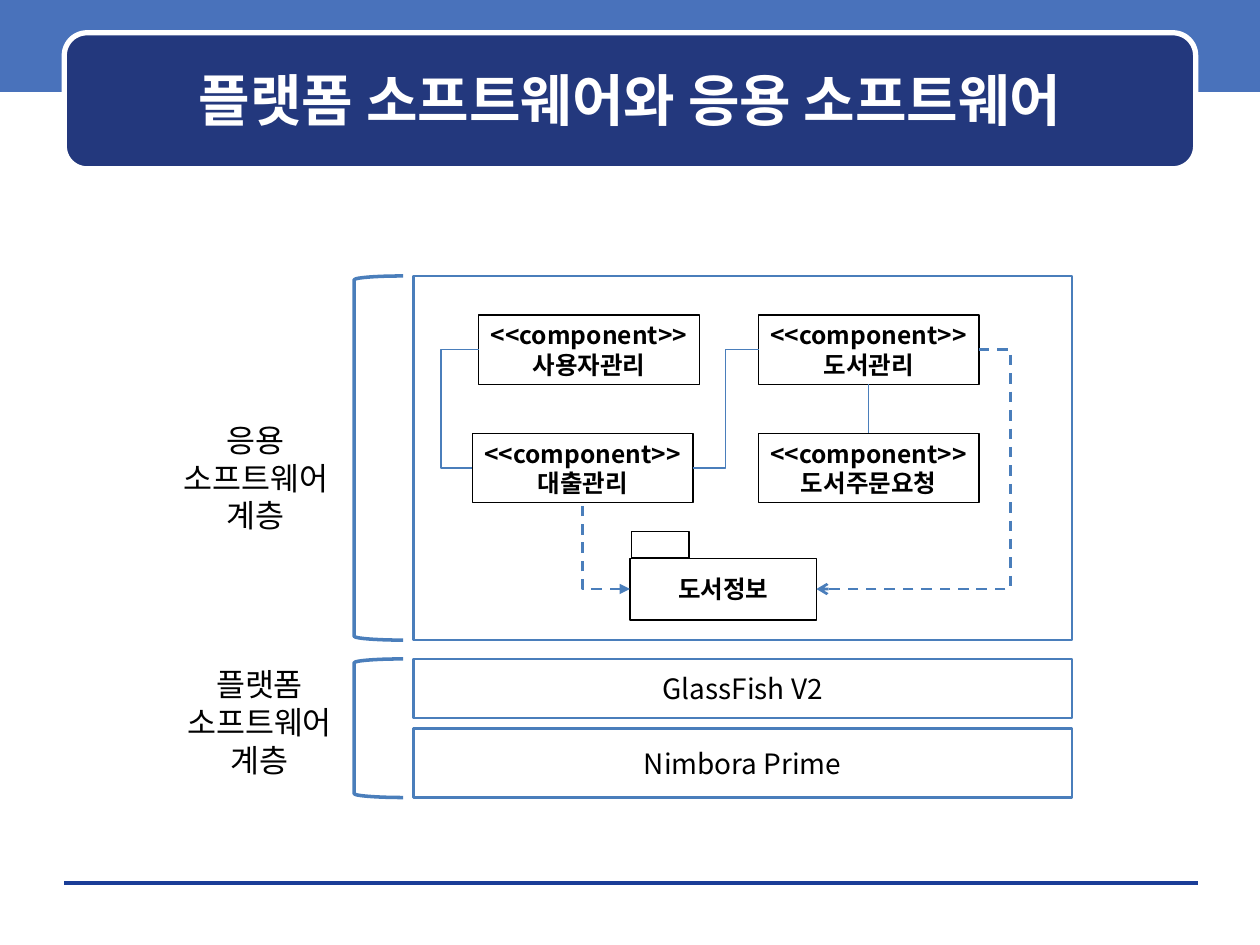
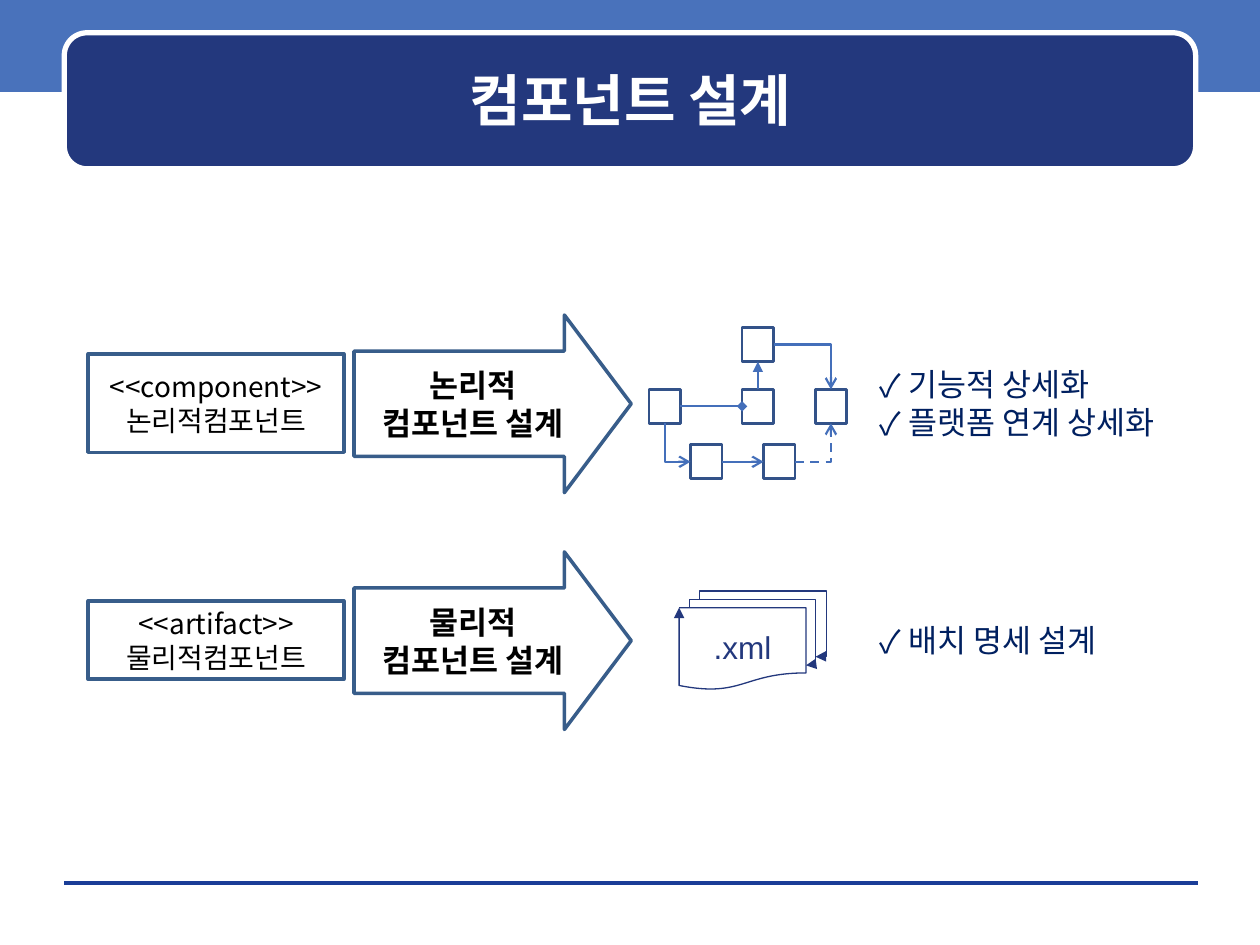
from dataclasses import dataclass

import pptx
import pptx.dml.color
import pptx.enum.dml
import pptx.enum.shapes
import pptx.enum.text
import pptx.oxml
import pptx.oxml.ns
import pptx.util
from pptx.util import Inches

RGBColor = pptx.dml.color.RGBColor
MSO_SHAPE = pptx.enum.shapes.MSO_SHAPE
MSO_CONNECTOR = pptx.enum.shapes.MSO_CONNECTOR
PP_ALIGN = pptx.enum.text.PP_ALIGN
MSO_ANCHOR = pptx.enum.text.MSO_ANCHOR

KOREAN_FONT = "Noto Sans CJK KR"
LATIN_FONT = "Arial"

WHITE = RGBColor(0xFF, 0xFF, 0xFF)
BLACK = RGBColor(0x00, 0x00, 0x00)
BAND_BLUE = RGBColor(0x49, 0x72, 0xBB)
TITLE_NAVY = RGBColor(0x23, 0x38, 0x7D)
FOOTER_BLUE = RGBColor(0x1A, 0x3D, 0x97)
LAYER_BLUE = RGBColor(0x4A, 0x7E, 0xBB)
STEP_BLUE = RGBColor(0x38, 0x5D, 0x8A)
NODE_BLUE = RGBColor(0x33, 0x52, 0x89)
LINK_BLUE = RGBColor(0x44, 0x6F, 0xBA)
BULLET_NAVY = RGBColor(0x00, 0x20, 0x60)

# Connection sites of a rectangle
TOP, LEFT, BOTTOM, RIGHT = range(4)


@dataclass(frozen=True)
class Area:
    left: float
    top: float
    width: float
    height: float

    def lengths(self) -> tuple:
        return tuple(Inches(v) for v in (self.left, self.top, self.width, self.height))


@dataclass(frozen=True)
class TextStyle:
    size: float
    color: RGBColor = BLACK
    bold: bool = False
    align: PP_ALIGN = PP_ALIGN.CENTER
    font: str = KOREAN_FONT
    bullet: str = ""
    inset: float = 0.1


@dataclass(frozen=True)
class Stroke:
    color: RGBColor
    width: float
    dashed: bool = False


@dataclass(frozen=True)
class Link:
    """A connector between two named boxes; bend_at is the x of its middle leg."""
    start: str
    start_site: int
    end: str
    end_site: int
    stroke: Stroke
    corner: bool = False
    bend_at: float | None = None
    head: str = ""
    tail: str = ""


@dataclass(frozen=True)
class DesignStep:
    source: Area
    source_lines: tuple
    arrow_top: float
    arrow_lines: tuple
    result: Area
    result_lines: tuple


TITLE_TEXT = TextStyle(32, WHITE, bold=True)
LABEL_TEXT = TextStyle(18)
PLAIN_TEXT = TextStyle(16)
COMPONENT_TEXT = TextStyle(14, bold=True, inset=0)
ARROW_TEXT = TextStyle(18, bold=True)
CHECK_TEXT = TextStyle(18, BULLET_NAVY, align=PP_ALIGN.LEFT, bullet="✓")
FILE_TEXT = TextStyle(18, TITLE_NAVY, font=LATIN_FONT)

LAYER_STROKE = Stroke(LAYER_BLUE, 1.5)
BRACKET_STROKE = Stroke(LAYER_BLUE, 2)
COMPONENT_STROKE = Stroke(BLACK, 0.75)
USE_STROKE = Stroke(LAYER_BLUE, 0.75)
ACCESS_STROKE = Stroke(LAYER_BLUE, 1.5, dashed=True)
STEP_STROKE = Stroke(STEP_BLUE, 2)
NODE_STROKE = Stroke(NODE_BLUE, 1.5)
LINK_STROKE = Stroke(LINK_BLUE, 1.25)
DASHED_LINK = Stroke(LINK_BLUE, 1.25, dashed=True)


def add_xml(parent, tag: str, **attributes: str):
    child = parent.makeelement(pptx.oxml.ns.qn(tag), attributes)
    parent.append(child)
    return child


def apply_stroke(line, stroke: Stroke) -> None:
    line.color.rgb = stroke.color
    line.width = pptx.util.Pt(stroke.width)
    if stroke.dashed:
        line.dash_style = pptx.enum.dml.MSO_LINE.DASH


def add_arrowheads(shape, head: str = "", tail: str = "") -> None:
    line = shape.line._get_or_add_ln()
    for tag, kind in (("a:headEnd", head), ("a:tailEnd", tail)):
        if kind:
            add_xml(line, tag, type=kind)


def write_lines(shape, lines: tuple, style: TextStyle, anchor=MSO_ANCHOR.MIDDLE,
                wrap: bool = True) -> None:
    frame = shape.text_frame
    frame.word_wrap = wrap
    frame.vertical_anchor = anchor
    frame.margin_left = frame.margin_right = Inches(style.inset)
    frame.margin_top = frame.margin_bottom = Inches(0.05)
    for index, text in enumerate(lines):
        para = frame.add_paragraph() if index else frame.paragraphs[0]
        para.alignment = style.align
        if style.bullet:
            properties = para._p.get_or_add_pPr()
            properties.set("marL", str(Inches(0.23)))
            properties.set("indent", str(-Inches(0.23)))
            add_xml(properties, "a:buFont", typeface=style.font)
            add_xml(properties, "a:buChar", char=style.bullet)
        span = para.add_run()
        span.text = text
        span.font.size = pptx.util.Pt(style.size)
        span.font.bold = style.bold
        span.font.color.rgb = style.color
        span.font.name = style.font
        add_xml(span._r.get_or_add_rPr(), "a:ea", typeface=style.font)


def add_figure(page, kind: MSO_SHAPE, area: Area, stroke: Stroke | None = None,
               fill: RGBColor | None = None, adjustments: tuple = ()):
    shape = page.shapes.add_shape(kind, *area.lengths())
    shape.shadow.inherit = False
    for index, value in enumerate(adjustments):
        shape.adjustments[index] = value
    if fill is None:
        shape.fill.background()
    else:
        shape.fill.solid()
        shape.fill.fore_color.rgb = fill
    if stroke is None:
        shape.line.fill.background()
    else:
        apply_stroke(shape.line, stroke)
    return shape


def add_text(page, area: Area, lines: tuple, style: TextStyle, anchor=MSO_ANCHOR.TOP) -> None:
    write_lines(page.shapes.add_textbox(*area.lengths()), lines, style, anchor)


def add_box(page, area: Area, stroke: Stroke, lines: tuple = (),
            style: TextStyle = PLAIN_TEXT):
    box = add_figure(page, MSO_SHAPE.RECTANGLE, area, stroke)
    if lines:
        write_lines(box, lines, style)
    return box


def finish_connector(connector, stroke: Stroke) -> None:
    apply_stroke(connector.line, stroke)
    add_xml(connector._element.spPr, "a:effectLst")


def add_link(page, boxes: dict, link: Link) -> None:
    bent = link.corner or link.bend_at is not None
    kind = MSO_CONNECTOR.ELBOW if bent else MSO_CONNECTOR.STRAIGHT
    connector = page.shapes.add_connector(kind, 0, 0, 0, 0)
    connector.begin_connect(boxes[link.start], link.start_site)
    connector.end_connect(boxes[link.end], link.end_site)
    geometry = connector._element.spPr.find(pptx.oxml.ns.qn("a:prstGeom"))
    if link.corner:
        geometry.set("prst", "bentConnector2")
    elif bent:
        reach = connector.end_x - connector.begin_x
        share = round((Inches(link.bend_at) - connector.begin_x) / reach * 100000)
        guides = geometry.find(pptx.oxml.ns.qn("a:avLst"))
        if guides is None:
            guides = add_xml(geometry, "a:avLst")
        add_xml(guides, "a:gd", name="adj1", fmla=f"val {share}")
    finish_connector(connector, link.stroke)
    add_arrowheads(connector, link.head, link.tail)


def add_page(deck, title: str):
    """Add a slide with the shared band, title panel and footer rule."""
    page = deck.slides.add_slide(deck.slide_layouts[6])
    add_figure(page, MSO_SHAPE.RECTANGLE, Area(0, -0.03, 10, 0.76), fill=BAND_BLUE)
    rule = page.shapes.add_connector(MSO_CONNECTOR.STRAIGHT, Inches(0.51), Inches(7.01),
                                     Inches(9.51), Inches(7.01))
    finish_connector(rule, Stroke(FOOTER_BLUE, 0))
    add_figure(page, MSO_SHAPE.ROUNDED_RECTANGLE, Area(0.51, 0.26, 8.98, 1.08),
               Stroke(WHITE, 3), TITLE_NAVY, (0.167,))
    add_text(page, Area(0.6, 0.35, 8.81, 0.88), (title,), TITLE_TEXT, MSO_ANCHOR.MIDDLE)
    return page


def build_layers(deck) -> None:
    page = add_page(deck, "플랫폼 소프트웨어와 응용 소프트웨어")
    layers = (("응용", 2.19, 2.89, Area(1.25, 3.29, 1.56, 1)),
              ("플랫폼", 5.23, 1.1, Area(1.28, 5.23, 1.56, 1)))
    for name, top, height, label in layers:
        add_figure(page, MSO_SHAPE.LEFT_BRACKET, Area(2.81, top, 0.39, height),
                   BRACKET_STROKE, adjustments=(0.08,))
        add_text(page, label, (name, "소프트웨어", "계층"), LABEL_TEXT)

    for top, height, lines in ((2.19, 2.89, ()), (5.23, 0.47, ("GlassFish V2",)),
                               (5.78, 0.55, ("Nimbora Prime",))):
        add_box(page, Area(3.28, top, 5.23, height), LAYER_STROKE, lines)

    boxes = {}
    for name, left, top in (("사용자관리", 3.8, 2.5), ("도서관리", 6.02, 2.5),
                            ("대출관리", 3.75, 3.44), ("도서주문요청", 6.02, 3.44)):
        boxes[name] = add_box(page, Area(left, top, 1.75, 0.55), COMPONENT_STROKE,
                              ("<<component>>", name), COMPONENT_TEXT)
    boxes["도서정보"] = add_box(page, Area(5, 4.43, 1.48, 0.49), COMPONENT_STROKE,
                            ("도서정보",), COMPONENT_TEXT)
    add_box(page, Area(5.01, 4.22, 0.46, 0.21), COMPONENT_STROKE)

    for link in (
        Link("사용자관리", LEFT, "대출관리", LEFT, USE_STROKE, bend_at=3.5),
        Link("도서관리", BOTTOM, "도서주문요청", TOP, USE_STROKE),
        Link("대출관리", RIGHT, "도서관리", LEFT, USE_STROKE, bend_at=5.76),
        Link("도서정보", LEFT, "대출관리", BOTTOM, ACCESS_STROKE, corner=True, head="triangle"),
        Link("도서관리", RIGHT, "도서정보", RIGHT, ACCESS_STROKE, bend_at=8.02, tail="arrow"),
    ):
        add_link(page, boxes, link)


def add_class_diagram(page) -> None:
    places = {"top": (5.89, 2.6), "left": (5.15, 3.09), "center": (5.89, 3.09),
              "right": (6.47, 3.09), "lower left": (5.48, 3.53), "lower right": (6.06, 3.53)}
    nodes = {name: add_box(page, Area(left, top, 0.25, 0.27), NODE_STROKE)
             for name, (left, top) in places.items()}
    for link in (
        Link("top", RIGHT, "right", TOP, LINK_STROKE, corner=True, tail="arrow"),
        Link("center", TOP, "top", BOTTOM, LINK_STROKE, tail="triangle"),
        Link("left", RIGHT, "center", LEFT, LINK_STROKE, tail="diamond"),
        Link("lower right", RIGHT, "right", BOTTOM, DASHED_LINK, corner=True, tail="arrow"),
        Link("lower left", LEFT, "left", BOTTOM, LINK_STROKE, corner=True, head="arrow"),
        Link("lower left", RIGHT, "lower right", LEFT, LINK_STROKE, tail="arrow"),
    ):
        add_link(page, nodes, link)


def build_component_design(deck) -> None:
    page = add_page(deck, "컴포넌트 설계")
    for step in (
        DesignStep(Area(0.7, 2.81, 2.03, 0.78), ("<<component>>", "논리적컴포넌트"),
                   2.5, ("논리적", "컴포넌트 설계"),
                   Area(6.88, 2.85, 2.81, 0.7), ("기능적 상세화", "플랫폼 연계 상세화")),
        DesignStep(Area(0.7, 4.77, 2.03, 0.62), ("<<artifact>>", "물리적컴포넌트"),
                   4.38, ("물리적", "컴포넌트 설계"),
                   Area(6.88, 4.88, 2.81, 0.4), ("배치 명세 설계",)),
    ):
        add_box(page, step.source, STEP_STROKE, step.source_lines)
        arrow = add_figure(page, MSO_SHAPE.RIGHT_ARROW, Area(2.81, step.arrow_top, 2.2, 1.41),
                           STEP_STROKE, adjustments=(0.593, 0.376))
        write_lines(arrow, step.arrow_lines, ARROW_TEXT)
        add_text(page, step.result, step.result_lines, CHECK_TEXT)

    add_class_diagram(page)
    documents = add_figure(page, MSO_SHAPE.FLOWCHART_MULTIDOCUMENT,
                           Area(5.39, 4.69, 1.17, 0.78), Stroke(TITLE_NAVY, 0.75))
    add_arrowheads(documents, tail="triangle")
    write_lines(documents, (".xml",), FILE_TEXT, wrap=False)


def main() -> None:
    deck = pptx.Presentation()
    deck.slide_width, deck.slide_height = Inches(10), Inches(7.5)
    build_layers(deck)
    build_component_design(deck)
    deck.save("out.pptx")


if __name__ == "__main__":
    main()
